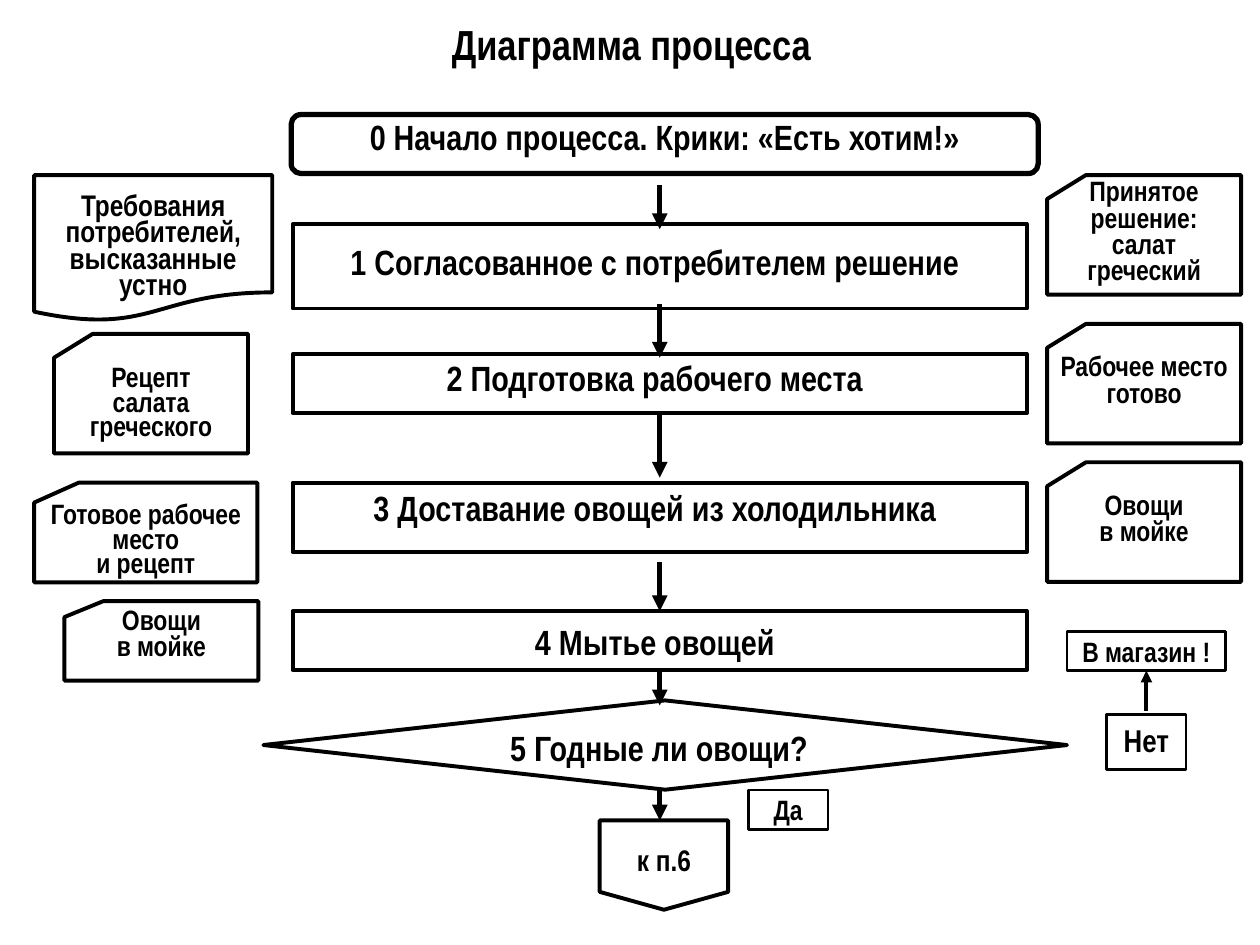
from dataclasses import dataclass

from lxml import etree
from pptx import Presentation
from pptx.dml.color import RGBColor
from pptx.enum.shapes import MSO_CONNECTOR, MSO_SHAPE
from pptx.enum.text import MSO_ANCHOR, PP_ALIGN
from pptx.oxml.ns import qn
from pptx.util import Cm, Pt

ROUNDED, RECT = MSO_SHAPE.ROUNDED_RECTANGLE, MSO_SHAPE.RECTANGLE
PROCESS, DECISION = MSO_SHAPE.FLOWCHART_PROCESS, MSO_SHAPE.DIAMOND
DOCUMENT, CARD = MSO_SHAPE.FLOWCHART_DOCUMENT, MSO_SHAPE.FLOWCHART_CARD
OFFPAGE = MSO_SHAPE.FLOWCHART_OFFPAGE_CONNECTOR
STRAIGHT = MSO_CONNECTOR.STRAIGHT
TOP, MIDDLE = MSO_ANCHOR.TOP, MSO_ANCHOR.MIDDLE
CENTER = PP_ALIGN.CENTER
SIDE_TOP, SIDE_BOTTOM = 0, 2


@dataclass(frozen=True)
class Theme:
    font: str = "Arial Narrow"
    ink: RGBColor = RGBColor(0, 0, 0)
    paper: RGBColor = RGBColor(255, 255, 255)
    title: int = 24
    step: int = 20
    answer: int = 18
    document: int = 17
    card: int = 16
    heavy: float = 3
    outline: float = 2.25
    thin: float = 1.5


THEME = Theme()
INSETS = (0.25, 0.13, 0.25, 0.13)  # left, top, right, bottom in cm
RAISED = (0.25, 0.13, 0.25, 0.66)  # lifts centred card text by half a line

TITLE = "Диаграмма процесса"
START = "0 Начало процесса. Крики: «Есть хотим!»"
STEP_LEFT, STEP_WIDTH = 5.9, 14.8
FLOW_X = STEP_LEFT + STEP_WIDTH / 2
# text, top, height, space above the text, line spacing
STEPS = [
    ("1 Согласованное с потребителем решение", 4.52, 1.7, 0.33, None),
    ("2 Подготовка рабочего места", 7.14, 1.19, 0.25, Pt(18)),
    ("3 Доставание овощей из холодильника", 9.73, 1.4, 0.28, Pt(18)),
    ("4 Мытье овощей", 12.32, 1.19, 0.33, Pt(20)),
]
DECISION_TEXT = "5 Годные ли овощи?"
NEXT_PAGE = "к п.6"
REQUIREMENTS = ["Требования", "потребителей, высказанные", "устно"]
# paragraphs, (left, top, width, height), line spacing, insets
INPUTS = [
    (["Рецепт", "салата греческого"], (1.09, 6.73, 3.91, 2.41), 14, INSETS),
    (["Готовое рабочее место", "и рецепт"], (0.69, 9.73, 4.5, 2.01), 14, INSETS),
    (["Овощи", "в мойке"], (1.3, 12.12, 3.91, 1.6), 15, RAISED),
]
OUTPUT_LEFT, OUTPUT_WIDTH, OUTPUT_HEIGHT = 21.11, 3.91, 2.41
OUTPUTS = [
    (["Принятое решение:", "салат греческий"], 3.53),
    (["Рабочее место", "готово"], 6.53),
    (["Овощи", "в мойке"], 9.32),
]

prs = Presentation()
prs.slide_width, prs.slide_height = Cm(25.4), Cm(19.05)
slide = prs.slides.add_slide(prs.slide_layouts[6])


def write(box, paragraphs, size, spacing=None, insets=INSETS, anchor=MIDDLE):
    frame = box.text_frame
    frame.word_wrap = True
    frame.vertical_anchor = anchor
    (frame.margin_left, frame.margin_top,
     frame.margin_right, frame.margin_bottom) = map(Cm, insets)
    for index, text in enumerate(paragraphs):
        paragraph = frame.add_paragraph() if index else frame.paragraphs[0]
        paragraph.alignment = CENTER
        if spacing:
            paragraph.line_spacing = spacing
        run = paragraph.add_run()
        run.text = text
        run.font.name, run.font.size, run.font.bold = THEME.font, Pt(size), True
        run.font.color.rgb = THEME.ink


def block(kind, place, paragraphs, size, line=THEME.outline, filled=False, **layout):
    """Add an outlined shape with its text; place is left, top, width, height."""
    shape = slide.shapes.add_shape(kind, *map(Cm, place))
    shape.shadow.inherit = False
    if filled:
        shape.fill.solid()
        shape.fill.fore_color.rgb = THEME.paper
    else:
        shape.fill.background()
    shape.line.color.rgb, shape.line.width = THEME.ink, Pt(line)
    write(shape, paragraphs, size, **layout)
    return shape


def arrow(x, start, end, width=THEME.heavy, source=None, target=None):
    """Add a vertical arrow, joined to the source and target given."""
    connector = slide.shapes.add_connector(STRAIGHT, Cm(x), Cm(start), Cm(x), Cm(end))
    connector.line.color.rgb, connector.line.width = THEME.ink, Pt(width)
    if source is not None:
        connector.begin_connect(source, SIDE_BOTTOM)
    if target is not None:
        connector.end_connect(target, SIDE_TOP if end > start else SIDE_BOTTOM)
    etree.SubElement(connector.line._get_or_add_ln(), qn("a:tailEnd"), type="triangle")
    etree.SubElement(connector._element.spPr, qn("a:effectLst"))


title = slide.shapes.add_textbox(Cm(1.3), Cm(0.33), Cm(22.86), Cm(1.12))
write(title, [TITLE], THEME.title)

block(ROUNDED, (5.87, 2.31, 15.06, 1.19), [START], THEME.step, THEME.heavy,
      filled=True, spacing=0.8, anchor=TOP)
steps = [
    block(PROCESS, (STEP_LEFT, top, STEP_WIDTH, height), [text], THEME.step,
          spacing=spacing, insets=(0.46, above, 0.66, 0.13), anchor=TOP)
    for text, top, height, above, spacing in STEPS
]
block(DECISION, (5.31, 14.12, 16.2, 1.8), [DECISION_TEXT], THEME.step,
      insets=(0, 0.08, 0.25, 0), anchor=TOP)
block(OFFPAGE, (12.09, 16.54, 2.59, 1.8), [NEXT_PAGE], THEME.document,
      insets=(0.25, 0.28, 0.25, 0.13))

block(DOCUMENT, (0.69, 3.53, 4.8, 2.95), REQUIREMENTS, THEME.document,
      spacing=Pt(15), insets=(0.46, 0.43, 0.46, 0), anchor=TOP)
for paragraphs, place, spacing, insets in INPUTS:
    block(CARD, place, paragraphs, THEME.card, spacing=Pt(spacing), insets=insets)
for paragraphs, top in OUTPUTS:
    block(CARD, (OUTPUT_LEFT, top, OUTPUT_WIDTH, OUTPUT_HEIGHT), paragraphs,
          THEME.card, spacing=Pt(15), insets=RAISED)

block(RECT, (15.09, 15.93, 1.6, 0.79), ["Да"], THEME.card, THEME.thin, filled=True)
block(RECT, (22.31, 14.4, 1.6, 1.12), ["Нет"], THEME.answer, THEME.thin,
      filled=True, anchor=TOP)
shop = block(RECT, (21.51, 12.73, 3.2, 0.79), ["В магазин !"], THEME.card,
             THEME.thin, filled=True)

FLOW_ARROWS = [  # start, end, joined source, joined target
    (3.73, 4.62, None, None),
    (6.12, 7.21, None, None),
    (8.33, 9.63, steps[1], None),
    (11.33, 12.32, None, steps[3]),
    (13.51, 14.22, steps[3], None),
    (15.93, 16.54, None, None),
]
for start, end, source, target in FLOW_ARROWS:
    arrow(FLOW_X, start, end, source=source, target=target)
arrow(23.11, 14.33, 13.52, THEME.outline, target=shop)

prs.save("out.pptx")
